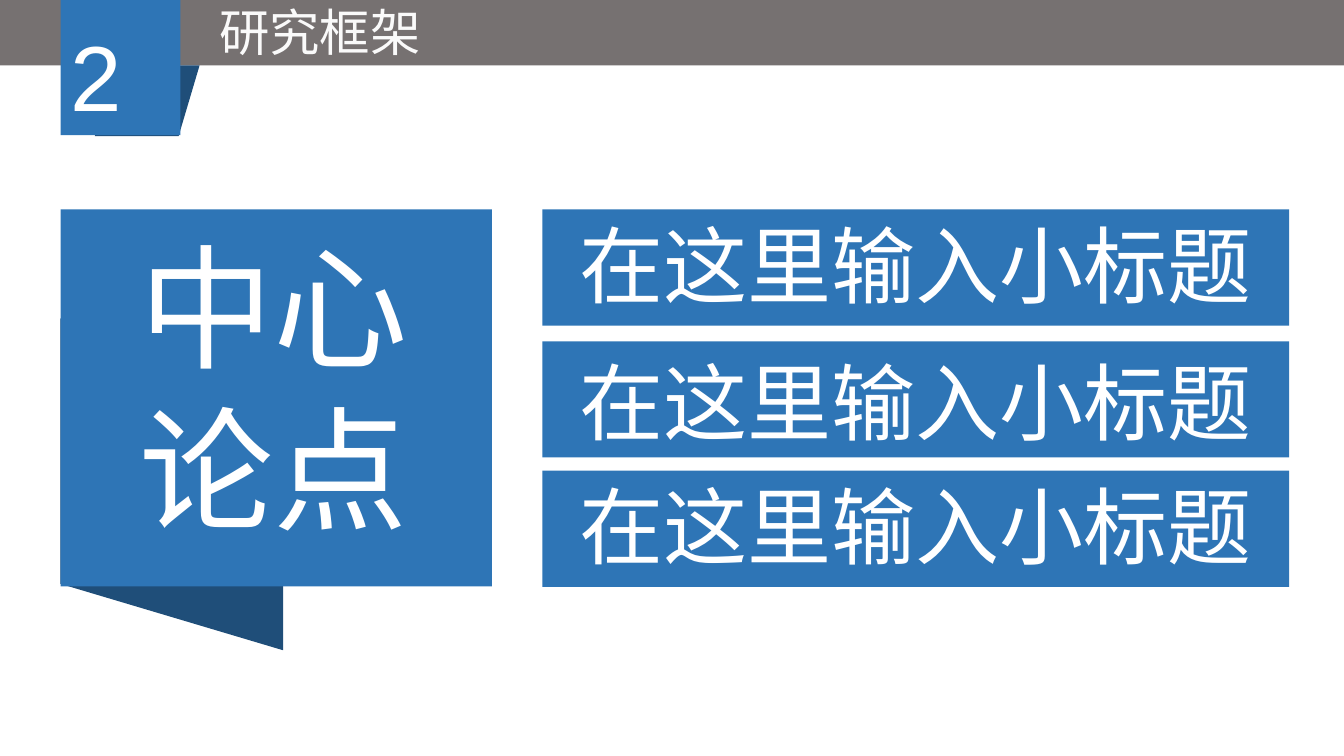
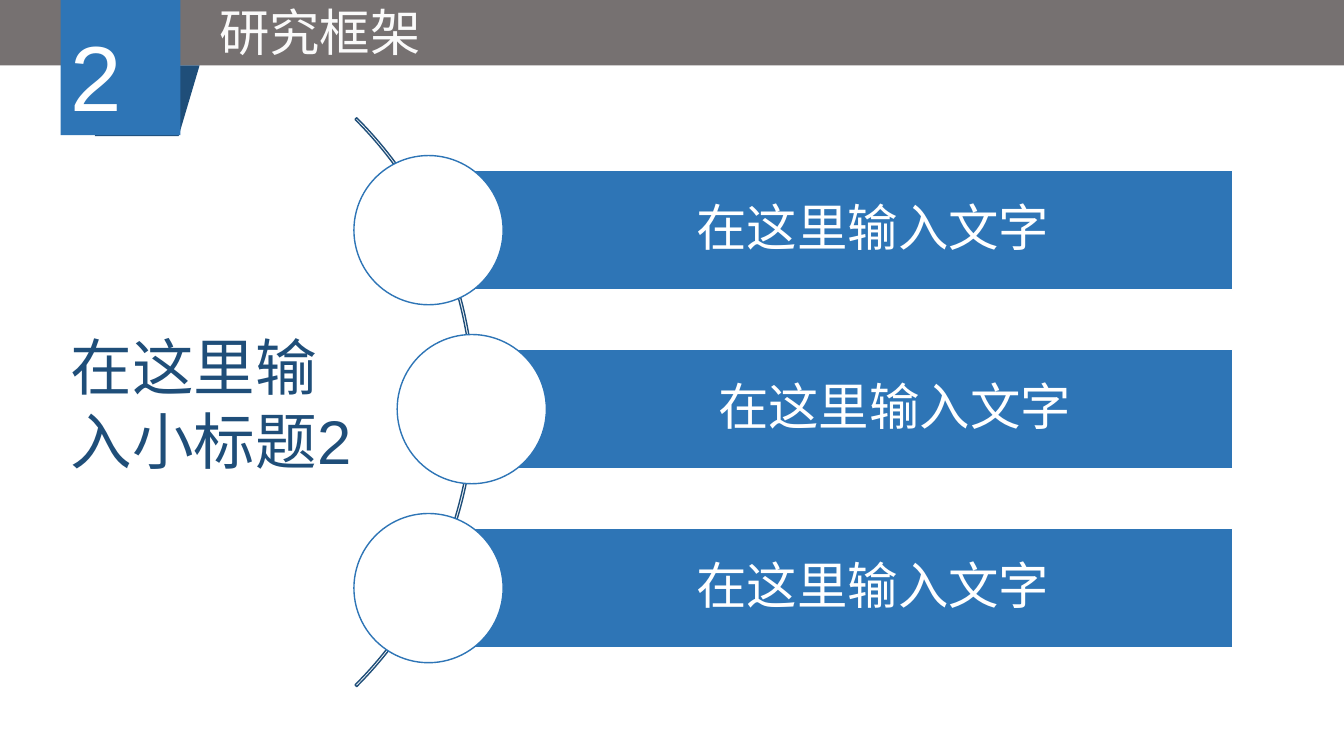
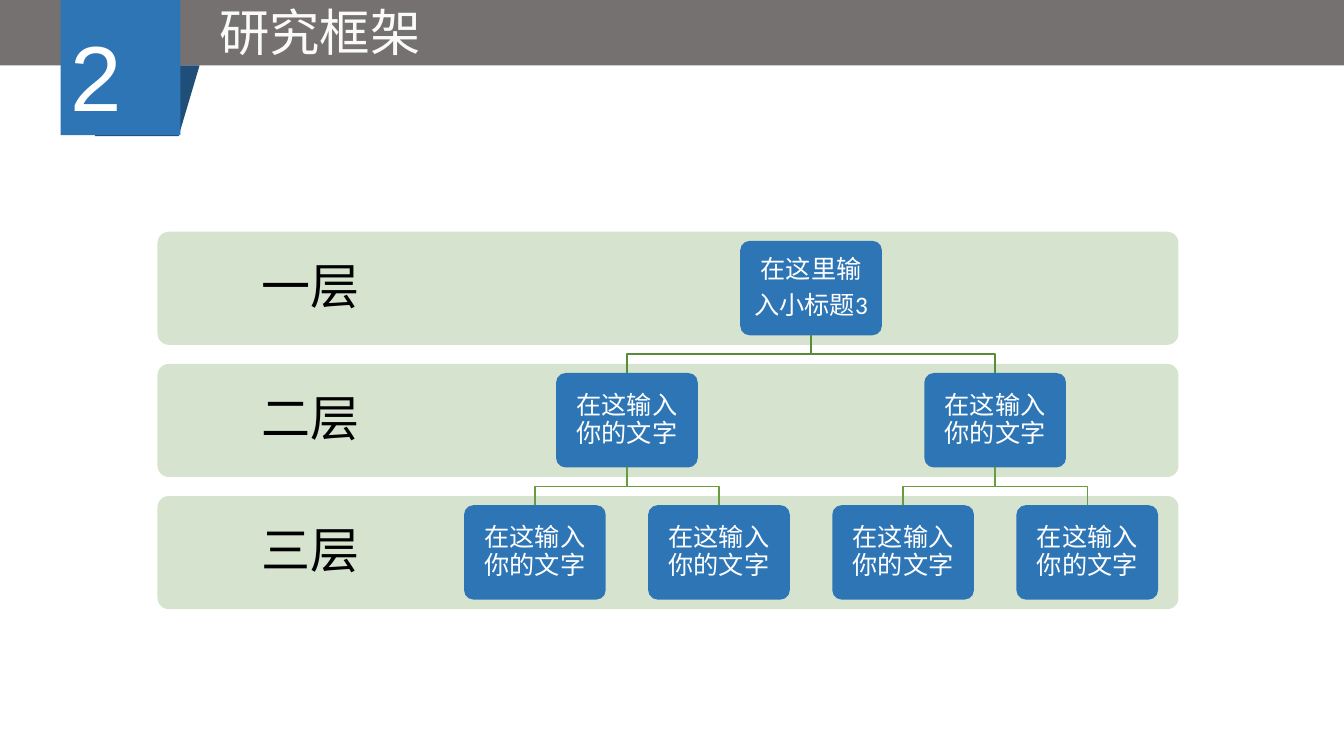
"""Build three research-framework slides with a shared header."""
from pptx import Presentation
from pptx.dml.color import RGBColor
from pptx.enum.lang import MSO_LANGUAGE_ID
from pptx.enum.shapes import MSO_SHAPE
from pptx.enum.text import MSO_ANCHOR, MSO_AUTO_SIZE, PP_ALIGN
from pptx.util import Cm, Pt

RECT = MSO_SHAPE.RECTANGLE
ROUND = MSO_SHAPE.ROUNDED_RECTANGLE
OVAL = MSO_SHAPE.OVAL
ARC = MSO_SHAPE.BLOCK_ARC
SLANT = MSO_SHAPE.FLOWCHART_DATA
LEFT, CENTER, JUST = PP_ALIGN.LEFT, PP_ALIGN.CENTER, PP_ALIGN.JUSTIFY
TOP, MIDDLE = MSO_ANCHOR.TOP, MSO_ANCHOR.MIDDLE
FIXED = MSO_AUTO_SIZE.NONE
CHINESE = MSO_LANGUAGE_ID.SIMPLIFIED_CHINESE

BLUE = RGBColor(0x2E, 0x75, 0xB6)
NAVY = RGBColor(0x1F, 0x4E, 0x79)
GRAY = RGBColor(0x76, 0x71, 0x71)
WHITE = RGBColor(0xFF, 0xFF, 0xFF)
PALE = RGBColor(0xFA, 0xFA, 0xFA)
BLACK = RGBColor(0x00, 0x00, 0x00)
MINT = RGBColor(0xD5, 0xE3, 0xCF)
MOSS = RGBColor(0x5A, 0x8B, 0x39)
LEAF = RGBColor(0x66, 0x9D, 0x40)

WIDTH, HEIGHT = 33.87, 19.05


def text(shape, words, size, color=WHITE, face="Arial", align=CENTER,
         anchor=MIDDLE, pad=(0.25, 0.13, 0.25, 0.13), lead=None, after=0):
    """Fill a shape with one paragraph per line; pad is left, top, right, bottom."""
    frame = shape.text_frame
    frame.text = words
    frame.word_wrap = True
    frame.auto_size = FIXED
    frame.vertical_anchor = anchor
    frame.margin_left, frame.margin_top, frame.margin_right, frame.margin_bottom = map(Cm, pad)
    for par in frame.paragraphs:
        par.alignment = align
        par.line_spacing = lead
        for run in par.runs:
            font = run.font
            font.size, font.name, font.language_id = Pt(size), face, CHINESE
            font.color.rgb = color
    for par in frame.paragraphs[:-1]:
        par.space_after = Pt(after)


def paint(shape, fill=None, line=None):
    """Set fill and outline, and drop the shadow."""
    shape.shadow.inherit = False
    if fill is None:
        shape.fill.background()
    else:
        shape.fill.solid()
        shape.fill.fore_color.rgb = fill
    if line is None:
        shape.line.fill.background()
    else:
        shape.line.color.rgb = line
        shape.line.width = Pt(1)


def block(slide, kind, box, fill=None, line=None, turn=0, adjust=()):
    """Add a preset shape in a box given in centimetres."""
    shape = slide.shapes.add_shape(kind, *map(Cm, box))
    paint(shape, fill, line)
    shape.rotation = turn
    for index, value in enumerate(adjust):
        shape.adjustments[index] = value
    return shape


def branch(slide, start, end, color):
    """Draw a stepped line from a parent node down to its child."""
    (x1, y1), (x2, y2) = start, end
    half = (y1 + y2) / 2
    path = slide.shapes.build_freeform(Cm(x1), Cm(y1))
    path.add_line_segments([(Cm(x1), Cm(half)), (Cm(x2), Cm(half)), (Cm(x2), Cm(y2))],
                           close=False)
    paint(path.convert_to_shape(), line=color)


def page(deck):
    """Add a slide with the shared band, number tab and title."""
    slide = deck.slides.add_slide(deck.slide_layouts[5])
    title = slide.shapes.title
    block(slide, RECT, (0, -0.03, WIDTH, 1.68), GRAY)
    block(slide, SLANT, (2.39, 1.65, 2.64, 1.78), NAVY)
    tab = block(slide, RECT, (1.53, -0.04, 3.02, 3.45), BLUE)
    text(tab, "2", 66, align=LEFT, pad=(0.25, 0.5, 0.25, 0.13))
    title.left, title.top, title.width, title.height = map(Cm, (3.73, -0.1, 8.66, 1.8))
    text(title, "研究框架", 36, PALE, anchor=TOP)
    slide.shapes._spTree.append(title._element)
    return slide


def thesis(deck):
    """Main point beside three headings."""
    slide = page(deck)
    block(slide, SLANT, (0.15, 9.4, 8.36, 5.61), NAVY, turn=270)
    square = block(slide, RECT, (1.53, 5.28, 10.87, 9.5), BLUE)
    text(square, "中心\n论点", 96, anchor=TOP, pad=(0.13, 0.38, 0.25, 0))
    for top, drop in ((5.28, 0.1), (8.6, 0.23), (11.86, 0.1)):
        bar = block(slide, RECT, (13.67, top, 18.82, 2.93), BLUE)
        text(bar, "在这里输入小标题", 60, align=LEFT, anchor=TOP, pad=(0.94, drop, 0, 0))


def curve(deck):
    """Three bars hung along an arc."""
    slide = page(deck)
    size, right = 3.76, 31.06
    block(slide, ARC, (-8.31, 0, 20.27, 20.27), line=NAVY, adjust=(189, 27, 0.003))
    for row, left in enumerate((8.92, 10.01, 8.92)):
        top = 4.3 + 4.51 * row
        edge = left + size / 2
        bar = block(slide, RECT, (edge, top, right - edge, 3.01), BLUE, WHITE)
        text(bar, "在这里输入文字", 36, face="Calibri", lead=0.9, pad=(2.39, 0.25, 0.25, 0.25))
        block(slide, OVAL, (left, top - 0.38, size, size), WHITE, BLUE)
    note = slide.shapes.add_textbox(*map(Cm, (1.53, 8.15, 7.65, 5.8)))
    text(note, "在这里输\n入小标题2", 44, NAVY, align=JUST, anchor=TOP)


def tree(deck):
    """Three-level tree on labelled bands."""
    slide = page(deck)
    first, pitch, inset = 5.84, 3.33, 0.23
    wide, high = 3.57, 2.38
    for row, label in enumerate(("一层", "二层", "三层")):
        band = block(slide, ROUND, (3.97, first + pitch * row, 25.73, 2.85), MINT, adjust=(0.1,))
        text(band, label, 35, BLACK, "Calibri", lead=0.9, pad=(0.69, 0.69, 18.7, 0.69))
    rows = [[13.48 + 4.64 * col for col in range(4)]]
    while len(rows[0]) > 1:
        kids = rows[0]
        rows.insert(0, [(a + b) / 2 for a, b in zip(kids[::2], kids[1::2])])
    for row, mids in enumerate(rows):
        top = first + inset + pitch * row
        words = "在这输入你的文字" if row else "在这里输\n入小标题3"
        for col, mid in enumerate(mids):
            if row:
                start = rows[row - 1][col // 2], top - pitch + high
                branch(slide, start, (mid, top), MOSS if row == 1 else LEAF)
            node = block(slide, ROUND, (mid - wide / 2, top, wide, high), BLUE, adjust=(0.1,))
            text(node, words, 18, face="Calibri", lead=0.9, after=6.3,
                 pad=(0.23, 0.23, 0.23, 0.23))


def main():
    """Build and save the deck."""
    deck = Presentation()
    deck.slide_width, deck.slide_height = Cm(WIDTH), Cm(HEIGHT)
    for build in (thesis, curve, tree):
        build(deck)
    deck.save("out.pptx")


if __name__ == "__main__":
    main()
